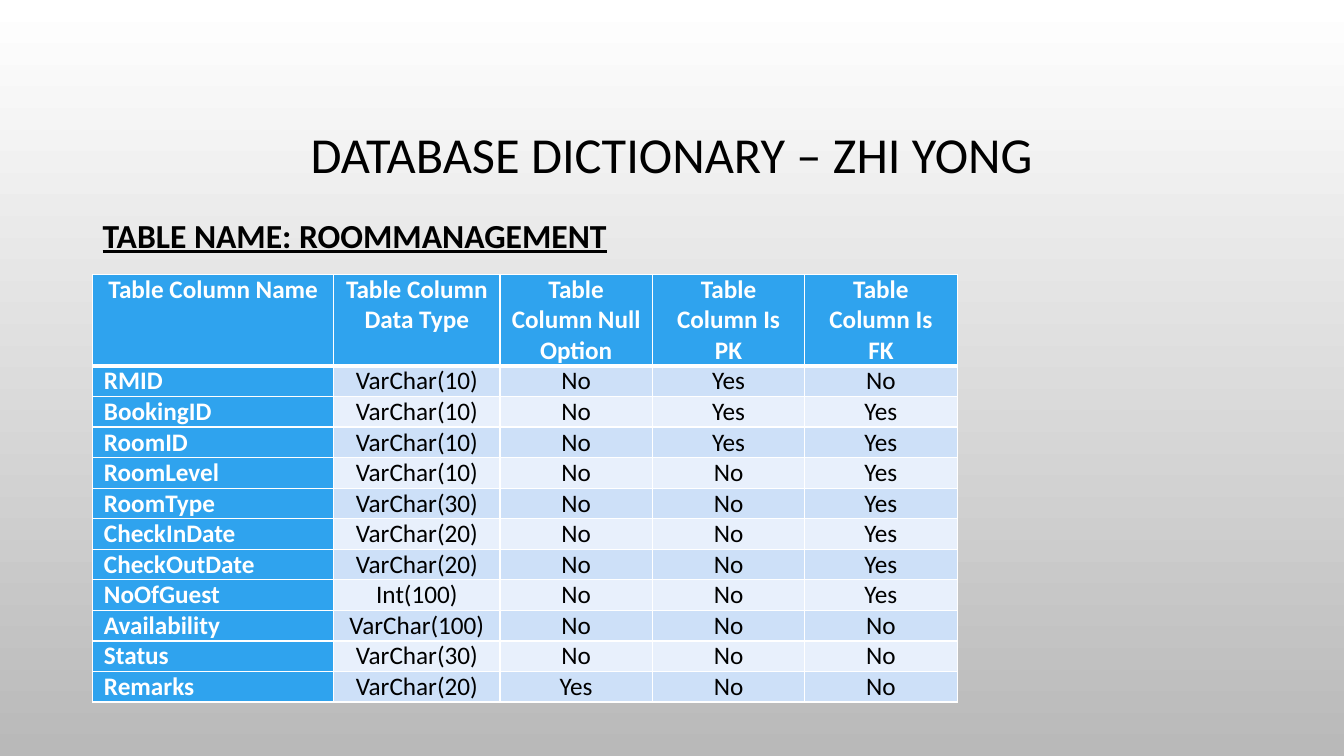
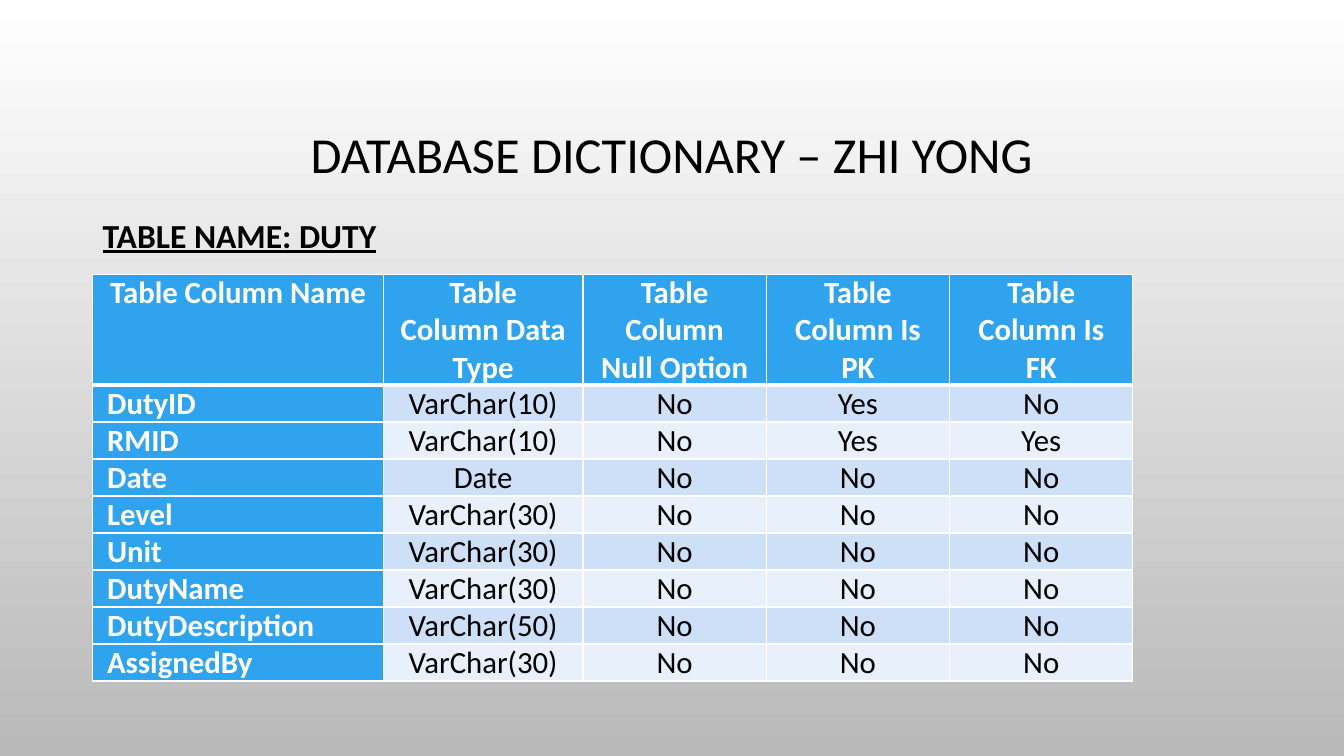
from dataclasses import dataclass

from lxml.etree import SubElement
from pptx import Presentation
from pptx.dml.color import RGBColor
from pptx.enum.text import MSO_ANCHOR, PP_ALIGN
from pptx.oxml.ns import qn
from pptx.util import Cm, Pt

FONT = "Calibri"
BLACK = RGBColor(0x00, 0x00, 0x00)
WHITE = RGBColor(0xFF, 0xFF, 0xFF)
GREY = RGBColor(0xB9, 0xB9, 0xB9)
BLUE = RGBColor(0x2F, 0xA3, 0xEE)
BANDS = (RGBColor(0xCD, 0xE0, 0xF8), RGBColor(0xE8, 0xF0, 0xFC))

TITLE = "DATABASE DICTIONARY – ZHI YONG"
HEADINGS = ("Table Column Name", "Table Column Data Type", "Table Column Null Option",
            "Table Column Is PK", "Table Column Is FK")
TITLE_BOX = (Cm(2.54), Cm(1.73), Cm(28.78), Cm(4.44))
TABLE_NAME_BOX = (Cm(2.34), Cm(5.08), Cm(29.21), Cm(1.6))
TABLE_ORIGIN = (Cm(2.34), Cm(6.91))


@dataclass
class TableFormat:
    """Sizes of one dictionary table, lengths in centimetres."""
    columns: tuple
    header_height: float
    row_height: float
    margin: float
    font_size: int


ROOM_FORMAT = TableFormat((6.07, 4.19, 3.84, 3.84, 3.84), 2.31, 0.77, 0.28, 18)
DUTY_FORMAT = TableFormat((7.32, 5.03, 4.62, 4.62, 4.62), 2.79, 0.93, 0.36, 22)

ROOM_ROWS = (
    ("RMID", "VarChar(10)", "No", "Yes", "No"),
    ("BookingID", "VarChar(10)", "No", "Yes", "Yes"),
    ("RoomID", "VarChar(10)", "No", "Yes", "Yes"),
    ("RoomLevel", "VarChar(10)", "No", "No", "Yes"),
    ("RoomType", "VarChar(30)", "No", "No", "Yes"),
    ("CheckInDate", "VarChar(20)", "No", "No", "Yes"),
    ("CheckOutDate", "VarChar(20)", "No", "No", "Yes"),
    ("NoOfGuest", "Int(100)", "No", "No", "Yes"),
    ("Availability", "VarChar(100)", "No", "No", "No"),
    ("Status", "VarChar(30)", "No", "No", "No"),
    ("Remarks", "VarChar(20)", "Yes", "No", "No"),
)
DUTY_ROWS = (
    ("DutyID", "VarChar(10)", "No", "Yes", "No"),
    ("RMID", "VarChar(10)", "No", "Yes", "Yes"),
    ("Date", "Date", "No", "No", "No"),
    ("Level", "VarChar(30)", "No", "No", "No"),
    ("Unit", "VarChar(30)", "No", "No", "No"),
    ("DutyName", "VarChar(30)", "No", "No", "No"),
    ("DutyDescription", "VarChar(50)", "No", "No", "No"),
    ("AssignedBy", "VarChar(30)", "No", "No", "No"),
)


def set_background(master):
    """Give every slide the vertical white-to-grey gradient."""
    fill = master.background.fill
    fill.gradient()
    fill.gradient_angle = 270
    for stop, color in zip(fill.gradient_stops, (WHITE, GREY)):
        stop.color.rgb = color


def add_run(paragraph, text, size, color=BLACK, bold=False, underline=False):
    """Append one formatted run to a paragraph."""
    run = paragraph.add_run()
    run.text = text
    font = run.font
    font.name, font.size, font.bold, font.underline = FONT, Pt(size), bold, underline
    font.color.rgb = color


def place_title(slide, box):
    """Move the title placeholder into its box and fill it."""
    title = slide.shapes.title
    title.left, title.top, title.width, title.height = box
    title.text_frame.vertical_anchor = MSO_ANCHOR.MIDDLE
    paragraph = title.text_frame.paragraphs[0]
    paragraph.alignment = PP_ALIGN.CENTER
    paragraph.line_spacing = 0.9
    add_run(paragraph, TITLE, 36)


def add_table_name(slide, box, name):
    """Write the underlined table name above the table."""
    text_frame = slide.shapes.add_textbox(*box).text_frame
    text_frame.word_wrap = True
    paragraph = text_frame.paragraphs[0]
    paragraph.line_spacing = 1.2
    add_run(paragraph, f"TABLE NAME: {name}", 24, bold=True, underline=True)


def set_borders(cell, top, bottom):
    """Draw white cell borders, with top and bottom widths in points."""
    properties = cell._tc.get_or_add_tcPr()
    for side, width in (("L", 1), ("R", 1), ("T", top), ("B", bottom)):
        line = SubElement(properties, qn(f"a:ln{side}"), w=str(Pt(width)))
        fill = SubElement(line, qn("a:solidFill"))
        SubElement(fill, qn("a:srgbClr"), val=str(WHITE))


def fill_cell(cell, text, row, column, table_format):
    """Write and format one cell according to its place in the table."""
    is_heading = row == 0 or column == 0
    set_borders(cell, top=3 if row == 1 else 1, bottom=3 if row == 0 else 1)
    cell.fill.solid()
    cell.fill.fore_color.rgb = BLUE if is_heading else BANDS[(row - 1) % 2]
    cell.margin_left = cell.margin_right = Cm(table_format.margin)
    cell.margin_top = cell.margin_bottom = 0
    paragraph = cell.text_frame.paragraphs[0]
    paragraph.alignment = PP_ALIGN.LEFT if row and column == 0 else PP_ALIGN.CENTER
    add_run(paragraph, text, table_format.font_size, WHITE if is_heading else BLACK, is_heading)


def add_dictionary_table(slide, origin, rows, table_format):
    """Add the table with its heading row at the given origin."""
    heights = [table_format.header_height] + [table_format.row_height] * len(rows)
    table = slide.shapes.add_table(len(heights), len(HEADINGS), *origin,
                                   Cm(sum(table_format.columns)), Cm(sum(heights))).table
    table.first_col = True
    table.horz_banding = False
    for column, width in zip(table.columns, table_format.columns):
        column.width = Cm(width)
    for row, height in zip(table.rows, heights):
        row.height = Cm(height)
    for row_index, values in enumerate((HEADINGS, *rows)):
        for column_index, value in enumerate(values):
            fill_cell(table.cell(row_index, column_index), value,
                      row_index, column_index, table_format)


def add_dictionary_slide(presentation, name, rows, table_format):
    """Add one slide that describes one database table."""
    slide = presentation.slides.add_slide(presentation.slide_layouts.get_by_name("Title Only"))
    place_title(slide, TITLE_BOX)
    add_table_name(slide, TABLE_NAME_BOX, name)
    add_dictionary_table(slide, TABLE_ORIGIN, rows, table_format)


def main():
    """Build and save the presentation."""
    presentation = Presentation()
    presentation.slide_width, presentation.slide_height = Cm(33.87), Cm(19.05)
    set_background(presentation.slide_master)
    add_dictionary_slide(presentation, "ROOMMANAGEMENT", ROOM_ROWS, ROOM_FORMAT)
    add_dictionary_slide(presentation, "DUTY", DUTY_ROWS, DUTY_FORMAT)
    presentation.save("out.pptx")


if __name__ == "__main__":
    main()
